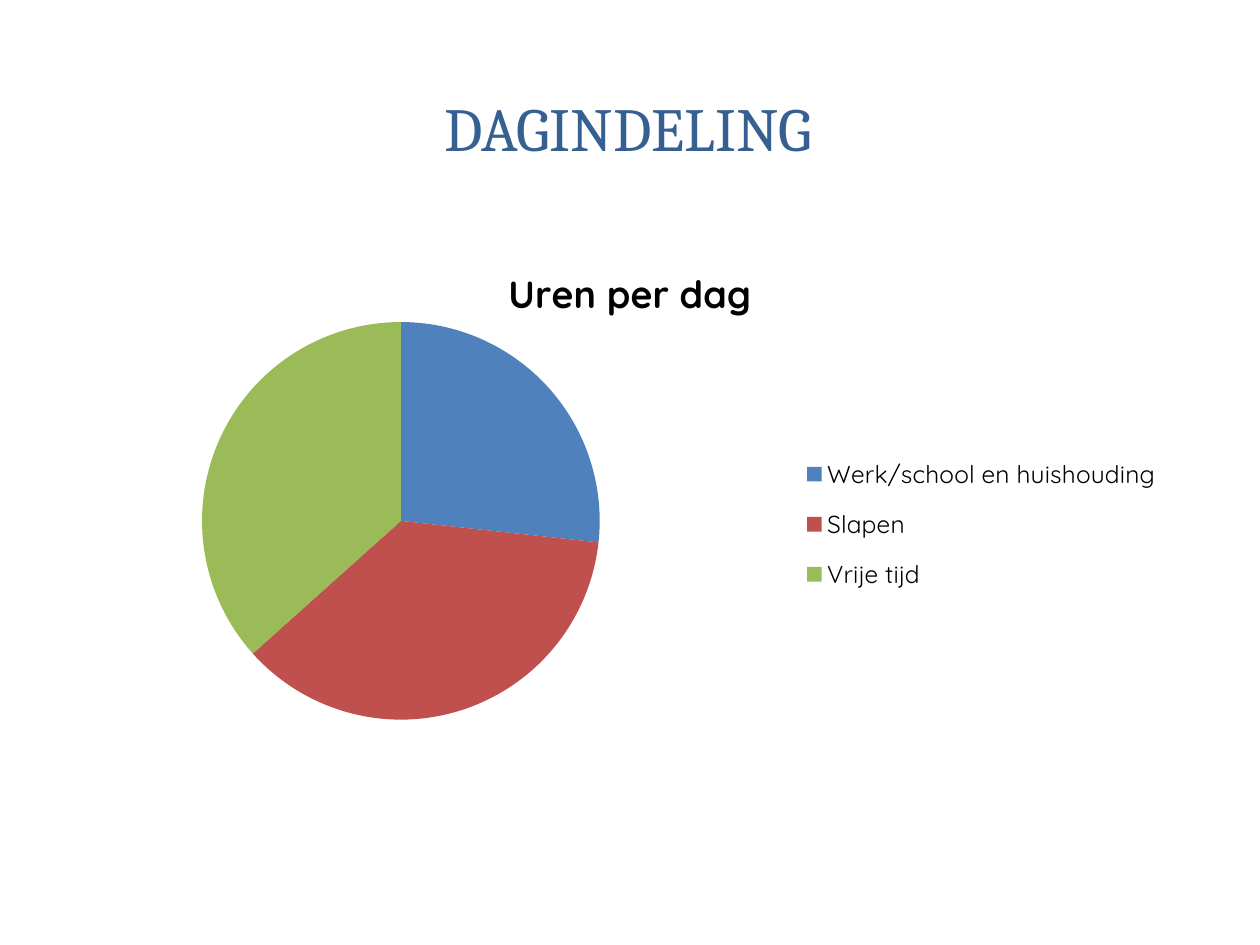
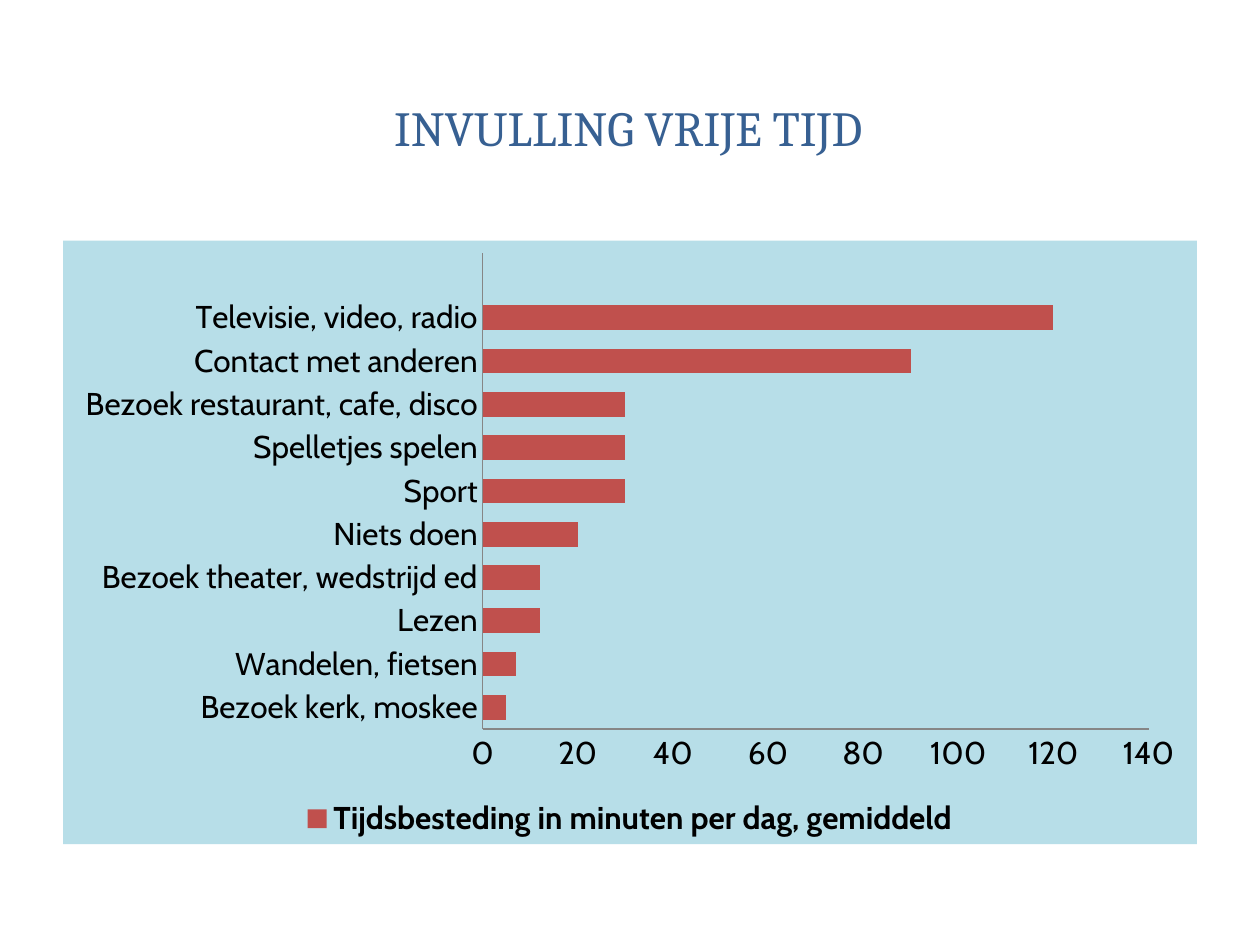
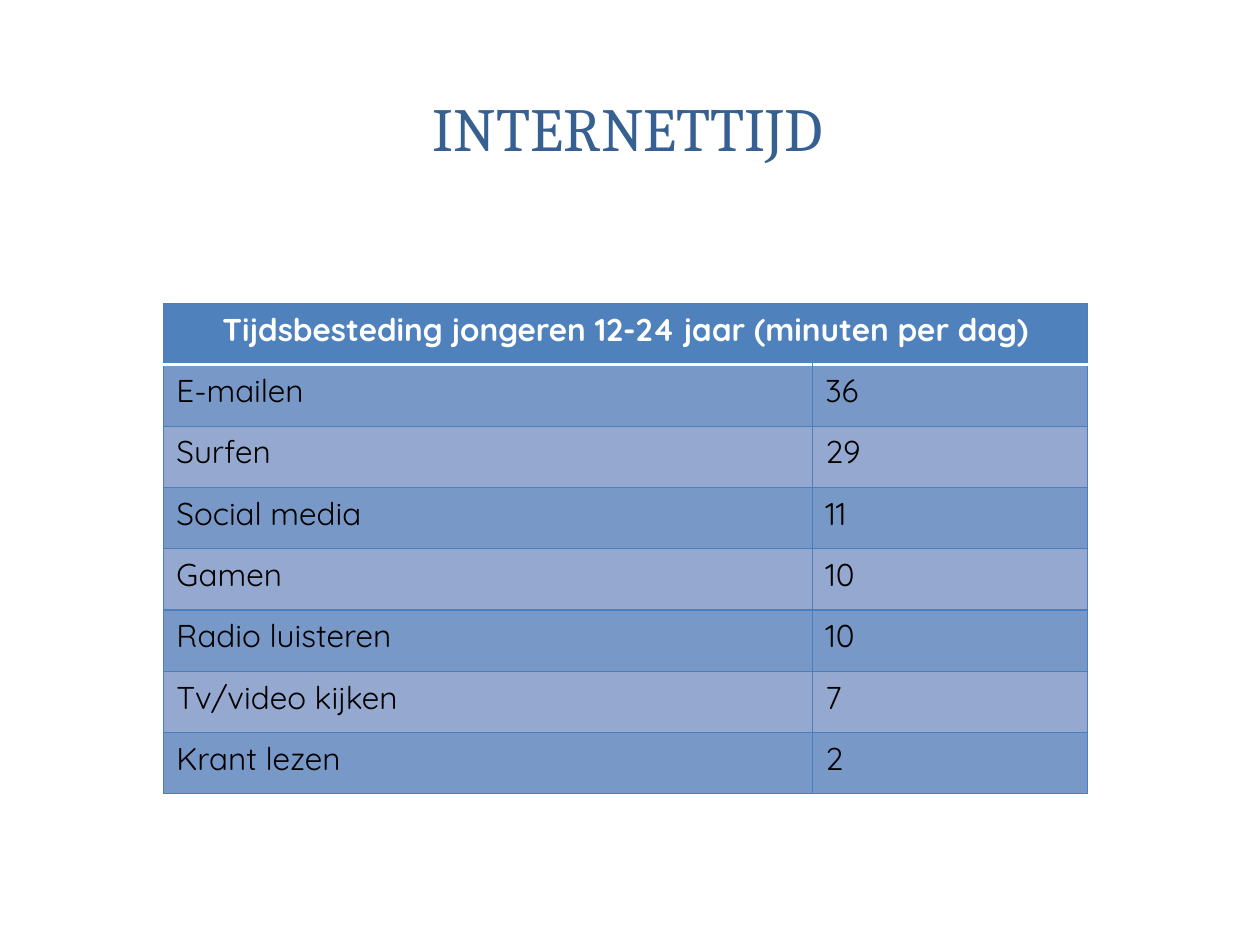
from lxml import etree
from pptx import Presentation
from pptx.chart.data import CategoryChartData
from pptx.dml.color import RGBColor
from pptx.enum.chart import XL_CHART_TYPE, XL_LEGEND_POSITION, XL_TICK_MARK
from pptx.enum.shapes import MSO_SHAPE
from pptx.enum.text import MSO_ANCHOR, PP_ALIGN
from pptx.oxml import parse_xml
from pptx.oxml.ns import nsdecls, qn
from pptx.util import Inches, Pt

COLORS = {
    "title": "376092", "text": "000000", "white": "FFFFFF",
    "blue": "4F81BD", "red": "C0504D", "green": "9BBB59",
    "chart_back": "B7DEE8", "axis": "868686",
    "row_dark": "7898C8", "row_light": "95A9D0", "border": "4B7EBC",
}
TITLE_FONT = "Cambria"
CHART_AREA = (Inches(0.5), Inches(1.91), Inches(9), Inches(4.79))


def color(name):
    return RGBColor.from_string(COLORS[name])


class SlideBuilder:
    """Holds the shared style and the slide being built."""

    def __init__(self, deck):
        self.deck = deck
        self.page = None

    def new_page(self, title, size=35):
        self.page = self.deck.slides.add_slide(self.deck.slide_layouts[5])
        # Sheet and title bands behind the title
        sheet = self.panel(MSO_SHAPE.ROUNDED_RECTANGLE, 0.1, 0.11, 9.8, 7.29)
        sheet.adjustments[0] = 0.017
        outer_band = self.panel(MSO_SHAPE.RECTANGLE, 0.3, 0.3, 9.4, 1.45)
        white = outer_band.fill._xPr.find(".//" + qn("a:srgbClr"))
        etree.SubElement(white, qn("a:alpha")).set("val", "83000")
        self.panel(MSO_SHAPE.RECTANGLE, 0.41, 0.41, 9.17, 1.22)
        # Title
        box = self.page.shapes.title
        self.page.shapes.element.append(box.element)
        box.left, box.top = Inches(0.47), Inches(0.44)
        box.width, box.height = Inches(9.03), Inches(1.14)
        frame = box.text_frame
        frame.text = title
        frame.vertical_anchor = MSO_ANCHOR.MIDDLE
        self.format_text(frame.paragraphs[0], TITLE_FONT, size, "title", align=PP_ALIGN.CENTER)

    def panel(self, preset, left, top, width, height):
        panel = self.page.shapes.add_shape(
            preset, Inches(left), Inches(top), Inches(width), Inches(height))
        panel.shadow.inherit = False
        panel.fill.solid()
        panel.fill.fore_color.rgb = color("white")
        panel.line.fill.background()
        return panel

    def format_text(self, para, font, size, color_name, bold=False, align=PP_ALIGN.LEFT):
        para.alignment = align
        for span in para.runs:
            span.font.name = font
            span.font.size = Pt(size)
            span.font.bold = bold
            span.font.color.rgb = color(color_name)

    def chart(self, kind, categories, name, values, font, legend_position):
        data = CategoryChartData()
        data.categories = categories
        data.add_series(name, values)
        chart = self.page.shapes.add_chart(kind, *CHART_AREA, data).chart
        chart.font.name = font
        chart.font.size = Pt(18)
        chart.font.color.rgb = color("text")
        chart.has_legend = True
        chart.legend.position = legend_position
        chart.legend.include_in_layout = False
        return chart

    def pie_chart(self, title, slices, font, plot_layout, legend_layout):
        labels, values, color_names = zip(*slices)
        chart = self.chart(XL_CHART_TYPE.PIE, labels, title, values, font, XL_LEGEND_POSITION.RIGHT)
        chart.legend.font.size = Pt(14)
        chart.has_title = True
        frame = chart.chart_title.text_frame
        frame.text = title
        self.format_text(frame.paragraphs[0], font, 21.6, "text", True, PP_ALIGN.CENTER)
        plot = chart.plots[0]
        plot.vary_by_categories = True
        for index, color_name in enumerate(color_names):
            fill = plot.series[0].points[index].format.fill
            fill.solid()
            fill.fore_color.rgb = color(color_name)
        plot_area = chart.element.find(".//" + qn("c:plotArea"))
        self.place_part(plot_area, 0, plot_layout, [("layoutTarget", "inner")])
        self.place_part(chart.legend._element, 1, legend_layout)

    def place_part(self, part, position, fractions, settings=()):
        old_layout = part.find(qn("c:layout"))
        if old_layout is not None:
            part.remove(old_layout)
        layout = parse_xml(f"<c:layout {nsdecls('c')}><c:manualLayout/></c:layout>")
        modes = [("xMode", "edge"), ("yMode", "edge")]
        for tag, value in [*settings, *modes, *zip("xywh", fractions)]:
            etree.SubElement(layout[0], qn("c:" + tag)).set("val", str(value))
        part.insert(position, layout)

    def bar_chart(self, name, bars, font):
        labels, values = zip(*bars)
        chart = self.chart(XL_CHART_TYPE.BAR_CLUSTERED, labels, name, values, font,
                           XL_LEGEND_POSITION.BOTTOM)
        chart.has_title = False
        chart.legend.font.bold = True
        plot = chart.plots[0]
        plot.vary_by_categories = False
        plot.gap_width = 75
        fill = plot.series[0].format.fill
        fill.solid()
        fill.fore_color.rgb = color("red")
        for axis in (chart.category_axis, chart.value_axis):
            axis.has_major_gridlines = False
            axis.major_tick_mark = axis.minor_tick_mark = XL_TICK_MARK.NONE
            axis.format.line.color.rgb = color("axis")
            axis.format.line.width = Pt(0.75)
        chart.value_axis.minimum_scale = 0
        chart.value_axis.maximum_scale = 140
        chart.value_axis.major_unit = 20
        # Background of the whole chart
        chart.element.find(qn("c:chart")).addnext(parse_xml(
            f"<c:spPr {nsdecls('c', 'a')}><a:solidFill><a:srgbClr val=\"{COLORS['chart_back']}\"/>"
            "</a:solidFill><a:ln><a:noFill/></a:ln></c:spPr>"))

    def table(self, heading, rows, font):
        widths = (5.15, 2.18)
        height = 3.89
        row_count = len(rows) + 1
        table = self.page.shapes.add_table(
            row_count, 2, Inches(1.3), Inches(2.41), Inches(sum(widths)), Inches(height)).table
        table.horz_banding = False
        for column, width in zip(table.columns, widths):
            column.width = Inches(width)
        for index, texts in enumerate([(heading, "")] + rows):
            table.rows[index].height = Inches(height / row_count)
            is_heading = index == 0
            back = "blue" if is_heading else "row_dark" if index % 2 else "row_light"
            for cell, text in zip(table.rows[index].cells, texts):
                cell.text = text
                self.format_text(cell.text_frame.paragraphs[0], font, 18,
                                 "white" if is_heading else "text", is_heading,
                                 PP_ALIGN.CENTER if is_heading else PP_ALIGN.LEFT)
                cell.fill.solid()
                cell.fill.fore_color.rgb = color(back)
                self.cell_borders(cell, index)
        table.cell(0, 0).merge(table.cell(0, 1))

    def cell_borders(self, cell, row):
        heading_side = {0: "B", 1: "T"}.get(row)
        properties = cell._tc.get_or_add_tcPr()
        for position, side in enumerate("LRTB"):
            name, width = ("white", 2) if side == heading_side else ("border", 0.75)
            properties.insert(position, parse_xml(
                f'<a:ln{side} {nsdecls("a")} w="{Pt(width)}"><a:solidFill>'
                f'<a:srgbClr val="{COLORS[name]}"/></a:solidFill></a:ln{side}>'))


def main():
    deck = Presentation()
    deck.slide_width, deck.slide_height = Inches(10), Inches(7.5)
    builder = SlideBuilder(deck)

    # Division of the day
    builder.new_page("DAGINDELING")
    builder.pie_chart("Uren per dag", [
        ("Werk/school en huishouding", 27, "blue"),
        ("Slapen", 37, "red"),
        ("Vrije tijd", 37, "green"),
    ], "Quicksand", (0.017, 0.135, 0.562, 0.659), (0.64, 0.33, 0.34, 0.28))

    # Use of free time, with an empty slot above the longest bar
    builder.new_page("INVULLING VRIJE TIJD", 28)
    builder.bar_chart("Tijdsbesteding in minuten per dag, gemiddeld", [
        ("Bezoek kerk, moskee", 5),
        ("Wandelen, fietsen", 7),
        ("Lezen", 12),
        ("Bezoek theater, wedstrijd ed", 12),
        ("Niets doen", 20),
        ("Sport", 30),
        ("Spelletjes spelen", 30),
        ("Bezoek restaurant, cafe, disco", 30),
        ("Contact met anderen", 90),
        ("Televisie, video, radio", 120),
        ("", None),
    ], "Cabin")

    # Time spent online
    builder.new_page("INTERNETTIJD")
    builder.table("Tijdsbesteding jongeren 12-24 jaar (minuten per dag)", [
        ("E-mailen", "36"),
        ("Surfen", "29"),
        ("Social media", "11"),
        ("Gamen", "10"),
        ("Radio luisteren", "10"),
        ("Tv/video kijken", "7"),
        ("Krant lezen", "2"),
    ], "Quicksand")

    deck.save("out.pptx")


if __name__ == "__main__":
    main()
